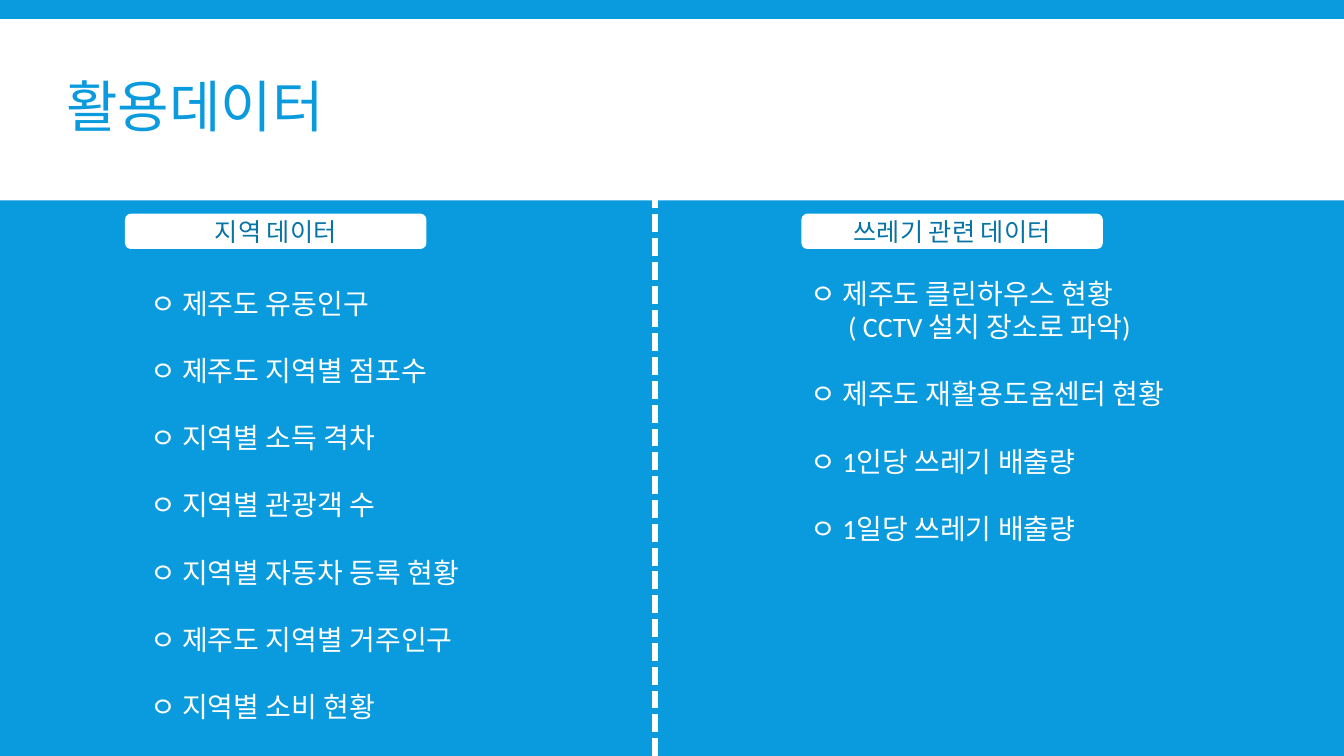
import dataclasses

import lxml.etree
import pptx
import pptx.dml.color
import pptx.enum.dml
import pptx.enum.shapes
import pptx.enum.text
import pptx.oxml.ns
import pptx.util

SLIDE_WIDTH = pptx.util.Inches(13.333)
SLIDE_HEIGHT = pptx.util.Inches(7.5)
BLUE, DARK_BLUE, WHITE = "099BDD", "0774A6", "FFFFFF"
FONT = "Calibri"
LABEL_TOP, LABEL_WIDTH, LABEL_HEIGHT = 28.27, 22.43, 4.67
LIST_WIDTH = 32.93
ITEM_GAP = pptx.util.Pt(24)
DETAIL_INDENT = 342900


@dataclasses.dataclass(frozen=True)
class Box:
    """Left, top, width and height as percentages of the slide."""
    left: float
    top: float
    width: float
    height: float

    def lengths(self) -> tuple[int, int, int, int]:
        return (across(self.left), down(self.top),
                across(self.width), down(self.height))


@dataclasses.dataclass(frozen=True)
class Item:
    text: str
    detail: str = ""


@dataclasses.dataclass(frozen=True)
class DataGroup:
    label: str
    label_left: float
    list_box: Box
    items: tuple[Item, ...]


GROUPS = (
    DataGroup("지역 데이터", 9.3, Box(10.43, 37.2, LIST_WIDTH, 60), (
        Item("제주도 유동인구"),
        Item("제주도 지역별 점포수"),
        Item("지역별 소득 격차"),
        Item("지역별 관광객 수"),
        Item("지역별 자동차 등록 현황"),
        Item("제주도 지역별 거주인구"),
        Item("지역별 소비 현황"),
    )),
    DataGroup("쓰레기 관련 데이터", 59.63, Box(59.55, 35.87, LIST_WIDTH, 41.73), (
        Item("제주도 클린하우스 현황", "( CCTV 설치 장소로 파악)"),
        Item("제주도 재활용도움센터 현황"),
        Item("1인당 쓰레기 배출량"),
        Item("1일당 쓰레기 배출량"),
    )),
)


def across(share: float) -> int:
    return round(SLIDE_WIDTH * share / 100)


def down(share: float) -> int:
    return round(SLIDE_HEIGHT * share / 100)


def color(value: str) -> pptx.dml.color.RGBColor:
    return pptx.dml.color.RGBColor.from_string(value)


def apply_format(target, values: dict) -> None:
    for name, value in values.items():
        setattr(target, name, value)


def write(paragraph, text: str, size: int, text_color: str, **values) -> None:
    run = paragraph.add_run()
    run.text = text
    apply_format(run.font, {"name": FONT, "size": pptx.util.Pt(size)})
    run.font.color.rgb = color(text_color)
    apply_format(paragraph, values)


def add_panel(slide, kind, box: Box):
    shape = slide.shapes.add_shape(kind, *box.lengths())
    shape.shadow.inherit = False
    shape.fill.solid()
    shape.fill.fore_color.rgb = color(WHITE)
    shape.line.fill.background()
    return shape


def add_title(slide, text: str, box: Box) -> None:
    title = slide.shapes.title
    apply_format(title, dict(zip(("left", "top", "width", "height"), box.lengths())))
    title.text_frame.vertical_anchor = pptx.enum.text.MSO_ANCHOR.MIDDLE
    write(title.text_frame.paragraphs[0], text, 40, BLUE,
          alignment=pptx.enum.text.PP_ALIGN.LEFT, line_spacing=0.85)


def add_divider(slide, share: float, top: float) -> None:
    line = slide.shapes.add_connector(
        pptx.enum.shapes.MSO_CONNECTOR.STRAIGHT,
        across(share), SLIDE_HEIGHT, across(share), down(top))
    line.line.color.rgb = color(WHITE)
    apply_format(line.line, {
        "width": pptx.util.Pt(4.25),
        "dash_style": pptx.enum.dml.MSO_LINE.SQUARE_DOT,
    })
    lxml.etree.SubElement(line._element.spPr, pptx.oxml.ns.qn("a:effectLst"))


def add_items(slide, group: DataGroup) -> None:
    frame = slide.shapes.add_textbox(*group.list_box.lengths()).text_frame
    frame.word_wrap = True
    paragraph = frame.paragraphs[0]
    for index, item in enumerate(group.items):
        if index:
            paragraph = frame.add_paragraph()
        write(paragraph, f"ㅇ {item.text}", 20, WHITE)
        if item.detail:
            paragraph = frame.add_paragraph()
            write(paragraph, item.detail, 20, WHITE)
            paragraph._p.get_or_add_pPr().set("marL", str(DETAIL_INDENT))
        paragraph.space_after = ITEM_GAP


def add_label(slide, group: DataGroup) -> None:
    label = add_panel(
        slide, pptx.enum.shapes.MSO_SHAPE.ROUNDED_RECTANGLE,
        Box(group.label_left, LABEL_TOP, LABEL_WIDTH, LABEL_HEIGHT))
    label.text_frame.vertical_anchor = pptx.enum.text.MSO_ANCHOR.MIDDLE
    write(label.text_frame.paragraphs[0], group.label, 18, DARK_BLUE,
          alignment=pptx.enum.text.PP_ALIGN.CENTER)


def main() -> None:
    presentation = pptx.Presentation()
    apply_format(presentation, {"slide_width": SLIDE_WIDTH, "slide_height": SLIDE_HEIGHT})
    slide = presentation.slides.add_slide(presentation.slide_layouts.get_by_name("Title Only"))

    # Background and header band, kept behind the title
    slide.background.fill.solid()
    slide.background.fill.fore_color.rgb = color(BLUE)
    band = add_panel(slide, pptx.enum.shapes.MSO_SHAPE.RECTANGLE, Box(0, 2.53, 100, 24))
    slide.shapes.title._element.addprevious(band._element)
    add_title(slide, "활용데이터", Box(4.2, 3.6, 80.25, 22))

    # Two lists with a dashed divider between them
    for group in GROUPS:
        add_items(slide, group)
    add_divider(slide, 48.75, 5.73)
    for group in GROUPS:
        add_label(slide, group)

    presentation.save("out.pptx")


if __name__ == "__main__":
    main()
